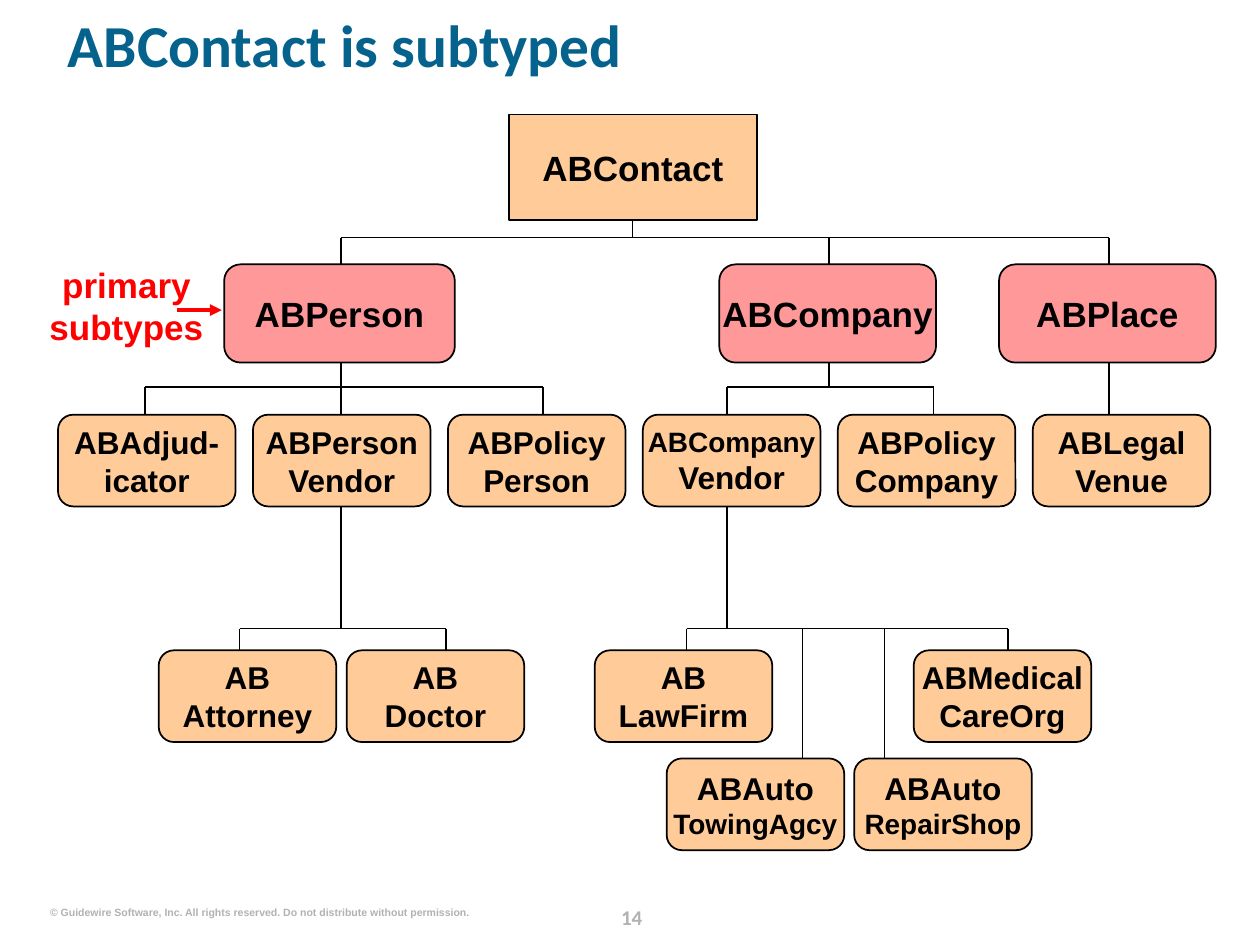
from lxml import etree
from pptx import Presentation
from pptx.dml.color import RGBColor
from pptx.enum.shapes import MSO_CONNECTOR, MSO_SHAPE
from pptx.enum.text import MSO_ANCHOR, PP_ALIGN
from pptx.oxml.ns import qn
from pptx.util import Cm, Pt

RECTANGLE, ROUNDED = MSO_SHAPE.RECTANGLE, MSO_SHAPE.ROUNDED_RECTANGLE
STRAIGHT = MSO_CONNECTOR.STRAIGHT
LEFT, CENTER, RIGHT = PP_ALIGN.LEFT, PP_ALIGN.CENTER, PP_ALIGN.RIGHT
TOP, MIDDLE = MSO_ANCHOR.TOP, MSO_ANCHOR.MIDDLE
BLACK, RED, GRAY, BLUE = "000000", "FF0000", "B2B2B2", "04628C"
ORANGE, PINK = "FFCC99", "FF9999"
color = RGBColor.from_string


def write_text(shape, text, sizes, hex_color, font="Arial", align=CENTER, anchor=MIDDLE, wrap=True):
    """Fill a shape with bold text; sizes holds one point size per line."""
    frame = shape.text_frame
    frame.margin_left = frame.margin_right = frame.margin_top = frame.margin_bottom = 0
    frame.word_wrap = wrap
    frame.vertical_anchor = anchor
    frame.text = text
    paragraph = frame.paragraphs[0]
    paragraph.alignment = align
    for run, size in zip(paragraph.runs, sizes):
        run.font.name = font
        run.font.size = Pt(size)
        run.font.bold = True
        run.font.color.rgb = color(hex_color)
    return paragraph


def add_line(x1, y1, x2, y2, hex_color=BLACK, width=1):
    line = slide.shapes.add_connector(STRAIGHT, Cm(x1), Cm(y1), Cm(x2), Cm(y2))
    line.line.color.rgb = color(hex_color)
    line.line.width = Pt(width)
    etree.SubElement(line._element.spPr, qn("a:effectLst"))
    return line


presentation = Presentation()
presentation.slide_width, presentation.slide_height = Cm(25.4), Cm(19.05)
slide = presentation.slides.add_slide(presentation.slide_layouts[6])

# Title, page number, copyright line and side label
labels = [
    (1.37, 0.33, 23.11, 2.06, "ABContact is subtyped", 34, BLUE, "Calibri", LEFT),
    (12.01, 18.11, 1.45, 0.64, "14", 12, GRAY, "Calibri", CENTER),
    (0.8, 18.26, 8.66, 0.25, "© Guidewire Software, Inc. All rights reserved. "
     "Do not distribute without permission.", 6, GRAY, "Arial", RIGHT),
    (0.53, 5.31, 4.04, 1.7, "primary subtypes", 20, RED, "Arial", CENTER),
]
line_spacings = [0.9, Pt(18), 1.0, 1.0]
for (x, y, width, height, text, size, hex_color, font, align), spacing in zip(labels, line_spacings):
    box = slide.shapes.add_textbox(Cm(x), Cm(y), Cm(width), Cm(height))
    paragraph = write_text(box, text, [size], hex_color, font, align, TOP)
    paragraph.line_spacing = spacing

# Tree levels
ROOT_TOP, PRIMARY_TOP, SUBTYPE_TOP, LEAF_TOP, LOW_LEAF_TOP = 2.31, 5.33, 8.36, 13.11, 15.29
ROOT_HEIGHT, PRIMARY_HEIGHT, SMALL_WIDTH, SMALL_HEIGHT = 2.13, 1.98, 3.58, 1.85
PRIMARY_BUS, SUBTYPE_BUS, LEAF_BUS = 4.79, 7.8, 12.67
primary_bottom = PRIMARY_TOP + PRIMARY_HEIGHT
subtype_bottom = SUBTYPE_TOP + SMALL_HEIGHT

# Branches: parent x, parent bottom, bus height, [(child x, child top)]
branches = [
    (12.75, ROOT_TOP + ROOT_HEIGHT, PRIMARY_BUS,
     [(6.88, PRIMARY_TOP), (16.71, PRIMARY_TOP), (22.35, PRIMARY_TOP)]),
    (6.88, primary_bottom, SUBTYPE_BUS,
     [(2.92, SUBTYPE_TOP), (6.88, SUBTYPE_TOP), (10.95, SUBTYPE_TOP)]),
    (16.71, primary_bottom, SUBTYPE_BUS, [(14.66, SUBTYPE_TOP), (18.82, SUBTYPE_TOP)]),
    (6.88, subtype_bottom, LEAF_BUS, [(4.83, LEAF_TOP), (8.99, LEAF_TOP)]),
    (14.66, subtype_bottom, LEAF_BUS,
     [(13.84, LEAF_TOP), (16.18, LOW_LEAF_TOP), (17.83, LOW_LEAF_TOP), (20.32, LEAF_TOP)]),
]
for parent_x, parent_bottom, bus, children in branches:
    add_line(parent_x, parent_bottom, parent_x, bus)
    add_line(children[0][0], bus, children[-1][0], bus)
    for child_x, child_top in children:
        add_line(child_x, bus, child_x, child_top)
add_line(22.35, primary_bottom, 22.35, SUBTYPE_TOP)

# Boxes: preset, x, y, width, height, fill, text, size of each line
boxes = [
    (RECTANGLE, 10.26, ROOT_TOP, 5, ROOT_HEIGHT, ORANGE, "ABContact", [20]),
    (ROUNDED, 4.52, PRIMARY_TOP, 4.65, PRIMARY_HEIGHT, PINK, "ABPerson", [20]),
    (ROUNDED, 14.5, PRIMARY_TOP, 4.37, PRIMARY_HEIGHT, PINK, "ABCompany", [20]),
    (ROUNDED, 20.14, PRIMARY_TOP, 4.37, PRIMARY_HEIGHT, PINK, "ABPlace", [20]),
]
subtypes = ["ABAdjud-\vicator", "ABPerson\vVendor", "ABPolicy\vPerson",
            "ABCompany\vVendor", "ABPolicy\vCompany", "ABLegal\vVenue"]
small_boxes = [(1.17 + 3.93 * column, SUBTYPE_TOP, text, [16, 18] if column == 3 else [18, 18])
               for column, text in enumerate(subtypes)]
small_boxes += [
    (3.2, LEAF_TOP, "AB\vAttorney", [18, 18]),
    (6.99, LEAF_TOP, "AB\vDoctor", [18, 18]),
    (11.99, LEAF_TOP, "AB\vLawFirm", [18, 18]),
    (18.42, LEAF_TOP, "ABMedical\vCareOrg", [18, 18]),
    (13.44, LOW_LEAF_TOP, "ABAuto\vTowingAgcy", [18, 16]),
    (17.22, LOW_LEAF_TOP, "ABAuto\vRepairShop", [18, 16]),
]
boxes += [(ROUNDED, x, y, SMALL_WIDTH, SMALL_HEIGHT, ORANGE, text, sizes)
          for x, y, text, sizes in small_boxes]
for preset, x, y, width, height, fill, text, sizes in boxes:
    shape = slide.shapes.add_shape(preset, Cm(x), Cm(y), Cm(width), Cm(height))
    shape.shadow.inherit = False
    shape.fill.solid()
    shape.fill.fore_color.rgb = color(fill)
    shape.line.color.rgb = color(BLACK)
    shape.line.width = Pt(1)
    write_text(shape, text, sizes, BLACK, wrap=False)

arrow = add_line(3.56, 6.25, 4.47, 6.25, RED, 2.25)
etree.SubElement(arrow.line._get_or_add_ln(), qn("a:tailEnd"), type="triangle")

presentation.save("out.pptx")
